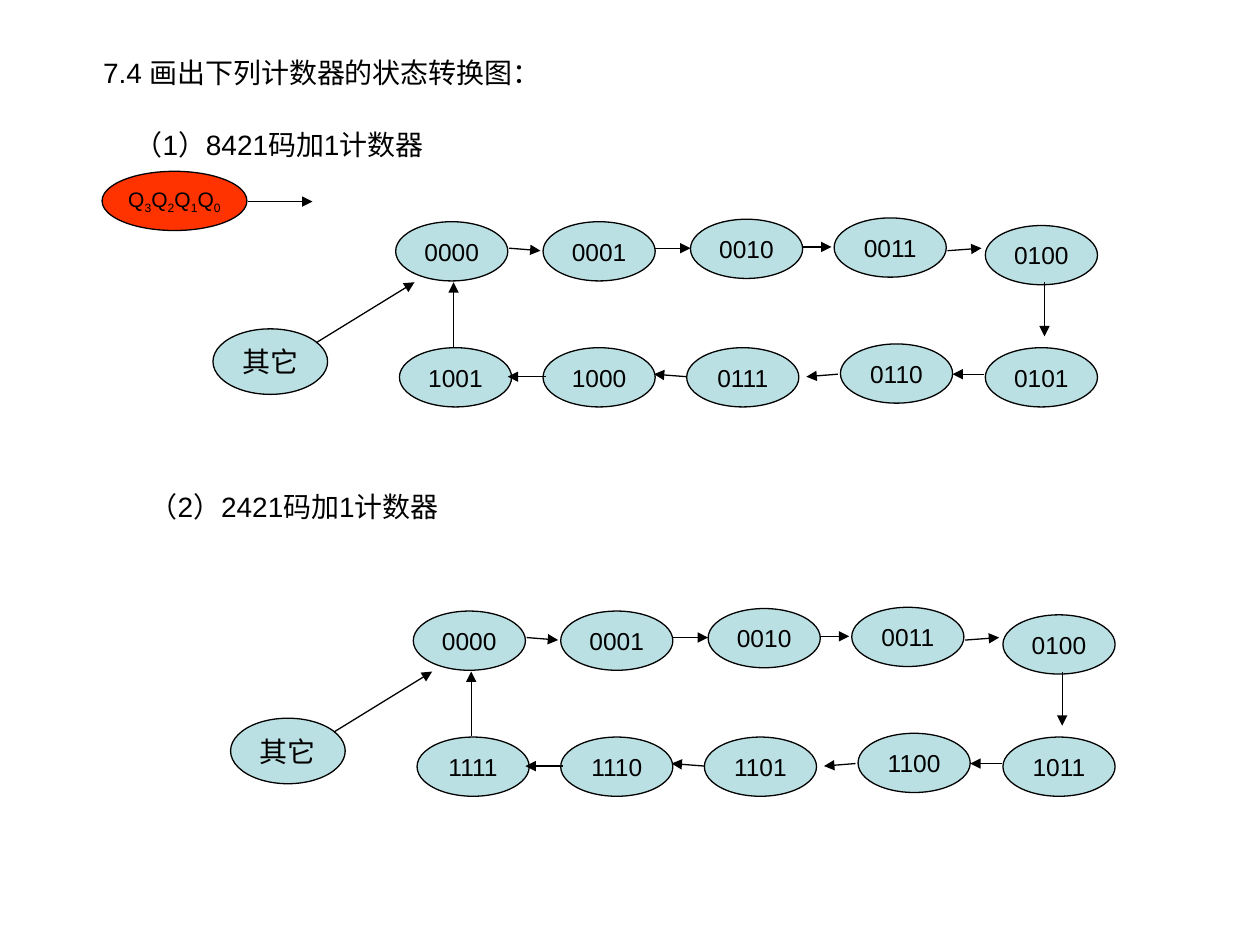
from dataclasses import dataclass

from lxml import etree
from pptx import Presentation
from pptx.dml.color import RGBColor
from pptx.enum.shapes import MSO_CONNECTOR, MSO_SHAPE
from pptx.enum.text import MSO_ANCHOR, PP_ALIGN
from pptx.oxml.ns import qn
from pptx.util import Inches, Pt

ELLIPSE = MSO_SHAPE.OVAL
STRAIGHT = MSO_CONNECTOR.STRAIGHT
MIDDLE, TOP = MSO_ANCHOR.MIDDLE, MSO_ANCHOR.TOP
LEFT, CENTER = PP_ALIGN.LEFT, PP_ALIGN.CENTER


@dataclass(frozen=True)
class Theme:
    font: str = "Arial"
    ink: RGBColor = RGBColor(0x00, 0x00, 0x00)
    state: RGBColor = RGBColor(0xBB, 0xE0, 0xE3)
    legend: RGBColor = RGBColor(0xFF, 0x33, 0x00)
    heading_size: int = 16
    state_size: int = 14
    legend_size: int = 12
    line_width: float = 0.75


class Board:
    """Draws on one slide; lengths are in columns and rows of the grid."""

    COLUMNS, ROWS = 100, 75

    def __init__(self, presentation, theme):
        self.theme = theme
        self.column = presentation.slide_width / self.COLUMNS
        self.row = presentation.slide_height / self.ROWS
        self.slide = presentation.slides.add_slide(presentation.slide_layouts[6])
        self.shapes = self.slide.shapes
        self.origin = (0, 0)

    def start_group(self, origin=(0, 0)):
        self.shapes = self.slide.shapes.add_group_shape().shapes
        self.origin = origin

    def end_group(self):
        self.shapes = self.slide.shapes
        self.origin = (0, 0)

    def point(self, x, y):
        return (round((x + self.origin[0]) * self.column),
                round((y + self.origin[1]) * self.row))

    def box(self, x, y, width, height):
        return (*self.point(x, y), round(width * self.column), round(height * self.row))

    def add_text(self, shape, runs, size, align, frame_format):
        """Runs are (text, is_subscript) pairs."""
        frame = shape.text_frame
        for name, value in frame_format.items():
            setattr(frame, name, value)
        paragraph = frame.paragraphs[0]
        paragraph.alignment = align
        for text, is_subscript in runs:
            run = paragraph.add_run()
            run.text = text
            for name, value in {"name": self.theme.font, "size": Pt(size)}.items():
                setattr(run.font, name, value)
            run.font.color.rgb = self.theme.ink
            if is_subscript:
                run._r.get_or_add_rPr().set("baseline", "-25000")

    def heading(self, place, text, align=LEFT):
        shape = self.shapes.add_textbox(*self.box(*place))
        self.add_text(shape, [(text, False)], self.theme.heading_size, align,
                      {"word_wrap": True, "vertical_anchor": TOP})

    def ellipse(self, place, runs, size, fill, wrap=False, side_margin=0.1):
        shape = self.shapes.add_shape(ELLIPSE, *self.box(*place))
        shape.shadow.inherit = False
        shape.fill.solid()
        shape.fill.fore_color.rgb = fill
        self.outline(shape)
        self.add_text(shape, runs, size, CENTER, {
            "word_wrap": wrap, "vertical_anchor": MIDDLE,
            "margin_left": Inches(side_margin), "margin_right": Inches(side_margin)})

    def arrow(self, start, end):
        connector = self.shapes.add_connector(
            STRAIGHT, *self.point(*start), *self.point(*end))
        self.outline(connector)
        line = connector.line._get_or_add_ln()
        etree.SubElement(line, qn("a:tailEnd"), type="triangle")
        etree.SubElement(connector._element.spPr, qn("a:effectLst"))

    def outline(self, shape):
        shape.line.color.rgb = self.theme.ink
        shape.line.width = Pt(self.theme.line_width)


# Places within a state diagram, in order of counting
STATE_SIZE = (8.9, 4.7)
STATE_PLACES = [
    (31.4, 17.6), (43.1, 17.6), (54.8, 17.4), (66.2, 17.3), (78.2, 17.9),
    (78.2, 27.6), (66.7, 27.3), (54.5, 27.6), (43.1, 27.6), (31.7, 27.6),
]
OTHER_PLACE = (16.9, 26.1, 9.1, 5.2)
ARROWS = [
    ((40.4, 19.7), (42.9, 19.9)), ((52, 19.7), (54.8, 19.7)),
    ((63.7, 19.6), (66, 19.6)), ((75.2, 19.9), (77.9, 19.7)),
    ((82.9, 22.4), (82.9, 26.7)), ((78.1, 29.7), (75.6, 29.7)),
    ((66.5, 29.7), (64, 29.9)), ((54.5, 29.9), (51.9, 29.7)),
    ((43.3, 29.9), (40.3, 29.9)), ((36, 27.5), (36, 22.4)),
    ((25.1, 27.2), (32.9, 22.4)),
]
FIRST_HALF = ["0000", "0001", "0010", "0011", "0100"]
DIAGRAMS = [
    ((0, 0), FIRST_HALF + ["0101", "0110", "0111", "1000", "1001"]),
    ((1.4, 30.9), FIRST_HALF + ["1011", "1100", "1101", "1110", "1111"]),
]


def draw_diagram(board, origin, states):
    theme = board.theme
    board.start_group(origin)
    for place, state in zip(STATE_PLACES, states):
        board.ellipse(place + STATE_SIZE, [(state, False)], theme.state_size, theme.state)
    board.ellipse(OTHER_PLACE, [("其它", False)], theme.heading_size, theme.state)
    for start, end in ARROWS:
        board.arrow(start, end)
    board.end_group()


def main():
    presentation = Presentation()
    presentation.slide_width, presentation.slide_height = Inches(10), Inches(7.5)
    theme = Theme()
    board = Board(presentation, theme)

    # Headings
    board.heading((7.2, 3.9, 39.3, 3.7), "7.4 画出下列计数器的状态转换图：")
    board.heading((9.7, 9.6, 31.3, 3.7), "（1）8421码加1计数器")
    board.heading((9.2, 38.4, 28.3, 3.7), "（2）2421码加1计数器", CENTER)

    # Legend: order of the state bits
    board.start_group()
    bits = [run for bit in "3210" for run in (("Q", False), (bit, True))]
    board.ellipse((8.1, 13.6, 11.5, 4.7), bits, theme.legend_size, theme.legend,
                  wrap=True, side_margin=0)
    board.arrow((19.7, 16), (24.8, 16))
    board.end_group()

    # State diagrams
    for origin, states in DIAGRAMS:
        draw_diagram(board, origin, states)

    presentation.save("out.pptx")


if __name__ == "__main__":
    main()
